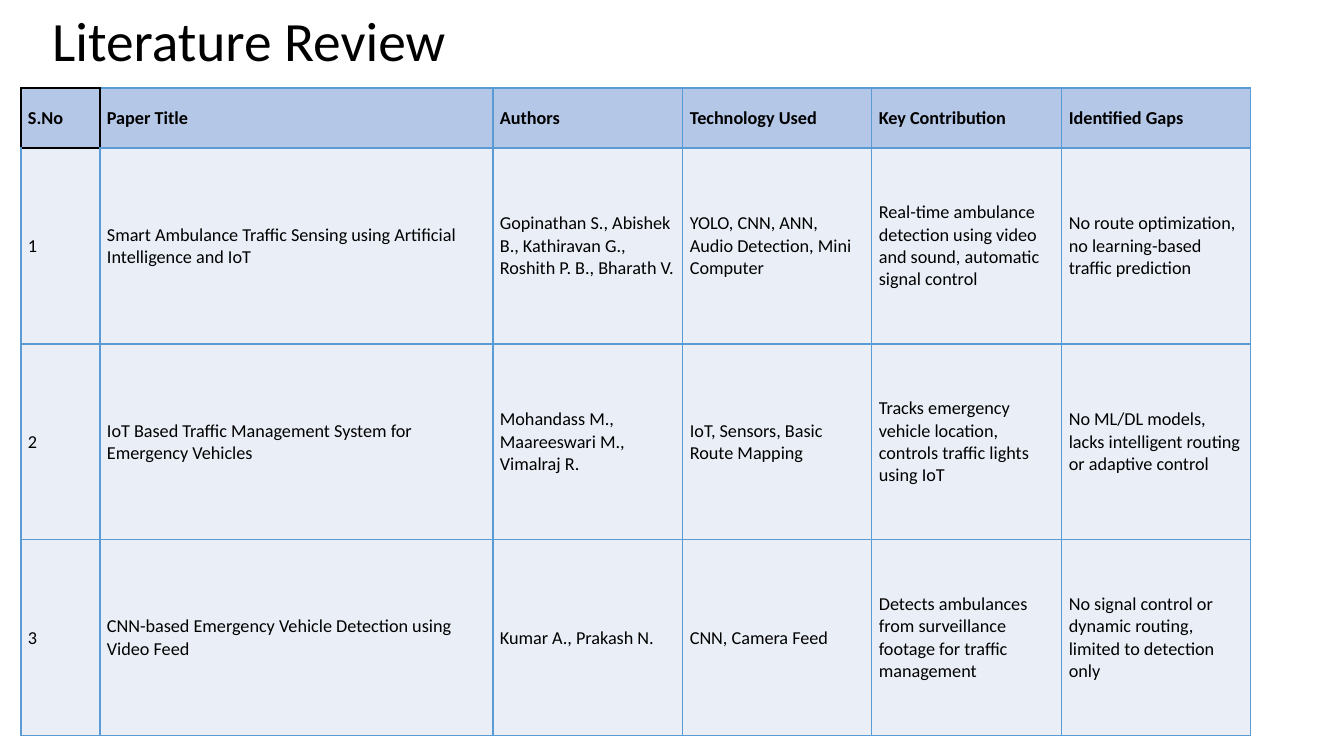
import lxml.etree
import pptx
import pptx.dml.color
import pptx.enum.text
import pptx.oxml.ns
import pptx.util

PX = 914400 / 100.8

BLACK = pptx.dml.color.RGBColor(0x00, 0x00, 0x00)
BORDER_BLUE = pptx.dml.color.RGBColor(0x5B, 0x9B, 0xD5)
HEADER_FILL = pptx.dml.color.RGBColor(0xB4, 0xC7, 0xE7)
BODY_FILL = pptx.dml.color.RGBColor(0xEA, 0xEF, 0xF7)

FONT = "Calibri"
MIDDLE = pptx.enum.text.MSO_ANCHOR.MIDDLE

COLUMN_WIDTHS = [79, 393, 190, 189, 190, 189]
HEADER_HEIGHT = 60
PAPERS = [
    ["S.No", "Paper Title", "Authors", "Technology Used", "Key Contribution", "Identified Gaps"],
    ["1", "Smart Ambulance Traffic Sensing using Artificial Intelligence and IoT",
     "Gopinathan S., Abishek B., Kathiravan G., Roshith P. B., Bharath V.",
     "YOLO, CNN, ANN, Audio Detection, Mini Computer",
     "Real-time ambulance detection using video and sound, automatic signal control",
     "No route optimization, no learning-based traffic prediction"],
    ["2", "IoT Based Traffic Management System for Emergency Vehicles",
     "Mohandass M., Maareeswari M., Vimalraj R.",
     "IoT, Sensors, Basic Route Mapping",
     "Tracks emergency vehicle location, controls traffic lights using IoT",
     "No ML/DL models, lacks intelligent routing or adaptive control"],
    ["3", "CNN-based Emergency Vehicle Detection using Video Feed",
     "Kumar A., Prakash N.",
     "CNN, Camera Feed",
     "Detects ambulances from surveillance footage for traffic management",
     "No signal control or dynamic routing, limited to detection only"],
]


def px(length):
    return pptx.util.Emu(round(length * PX))


def write_text(text_frame, text, size=13, bold=False, line_spacing=None):
    paragraph = text_frame.paragraphs[0]
    paragraph.alignment = pptx.enum.text.PP_ALIGN.LEFT
    paragraph.line_spacing = line_spacing
    run = paragraph.add_run()
    run.text = text
    run.font.name = FONT
    run.font.size = pptx.util.Pt(size)
    run.font.bold = bold
    run.font.color.rgb = BLACK


def set_borders(cell, colors):
    """Draw 1 pt borders; colors maps each side (L, R, T, B) to a colour."""
    properties = cell._tc.get_or_add_tcPr()
    for side, color in colors.items():
        line = lxml.etree.SubElement(properties, pptx.oxml.ns.qn(f"a:ln{side}"),
                                     w=str(pptx.util.Pt(1)))
        fill = lxml.etree.SubElement(line, pptx.oxml.ns.qn("a:solidFill"))
        lxml.etree.SubElement(fill, pptx.oxml.ns.qn("a:srgbClr"), val=str(color))


def border_colors(row, column):
    """Blue everywhere, except the black frame around the first header cell."""
    colors = dict.fromkeys("LRTB", BORDER_BLUE)
    if (row, column) == (0, 0):
        colors = dict.fromkeys("LRTB", BLACK)
    elif (row, column) == (0, 1):
        colors["L"] = BLACK
    elif (row, column) == (1, 0):
        colors["T"] = BLACK
    return colors


def add_title(slide, left, top, width, height):
    title = slide.shapes.title
    title.left, title.top, title.width, title.height = map(px, (left, top, width, height))
    title.text_frame.auto_size = pptx.enum.text.MSO_AUTO_SIZE.NONE
    title.text_frame.vertical_anchor = MIDDLE
    write_text(title.text_frame, "Literature Review", size=39.6, line_spacing=0.9)


def add_review_table(slide, left, top, width, height):
    frame = slide.shapes.add_table(len(PAPERS), len(COLUMN_WIDTHS),
                                   px(left), px(top), px(width), px(height))
    table = frame.table
    table.horz_banding = False
    for column, column_width in zip(table.columns, COLUMN_WIDTHS):
        column.width = px(column_width)
    body_height = (height - HEADER_HEIGHT) / (len(PAPERS) - 1)

    for row_index, texts in enumerate(PAPERS):
        is_header = row_index == 0
        table.rows[row_index].height = px(HEADER_HEIGHT if is_header else body_height)
        for column_index, text in enumerate(texts):
            cell = table.cell(row_index, column_index)
            cell.vertical_anchor = MIDDLE
            cell.margin_left = cell.margin_right = px(7)
            cell.margin_top = cell.margin_bottom = px(4)
            set_borders(cell, border_colors(row_index, column_index))
            cell.fill.solid()
            cell.fill.fore_color.rgb = HEADER_FILL if is_header else BODY_FILL
            write_text(cell.text_frame, text, bold=is_header)


def main():
    presentation = pptx.Presentation()
    presentation.slide_width = px(1344)
    presentation.slide_height = px(756)
    slide = presentation.slides.add_slide(presentation.slide_layouts[5])

    # Heading
    add_title(slide, 42, 20, 1159, 48)
    # Table of reviewed papers
    add_review_table(slide, 21, 88, sum(COLUMN_WIDTHS), 648)

    presentation.save("out.pptx")


if __name__ == "__main__":
    main()
